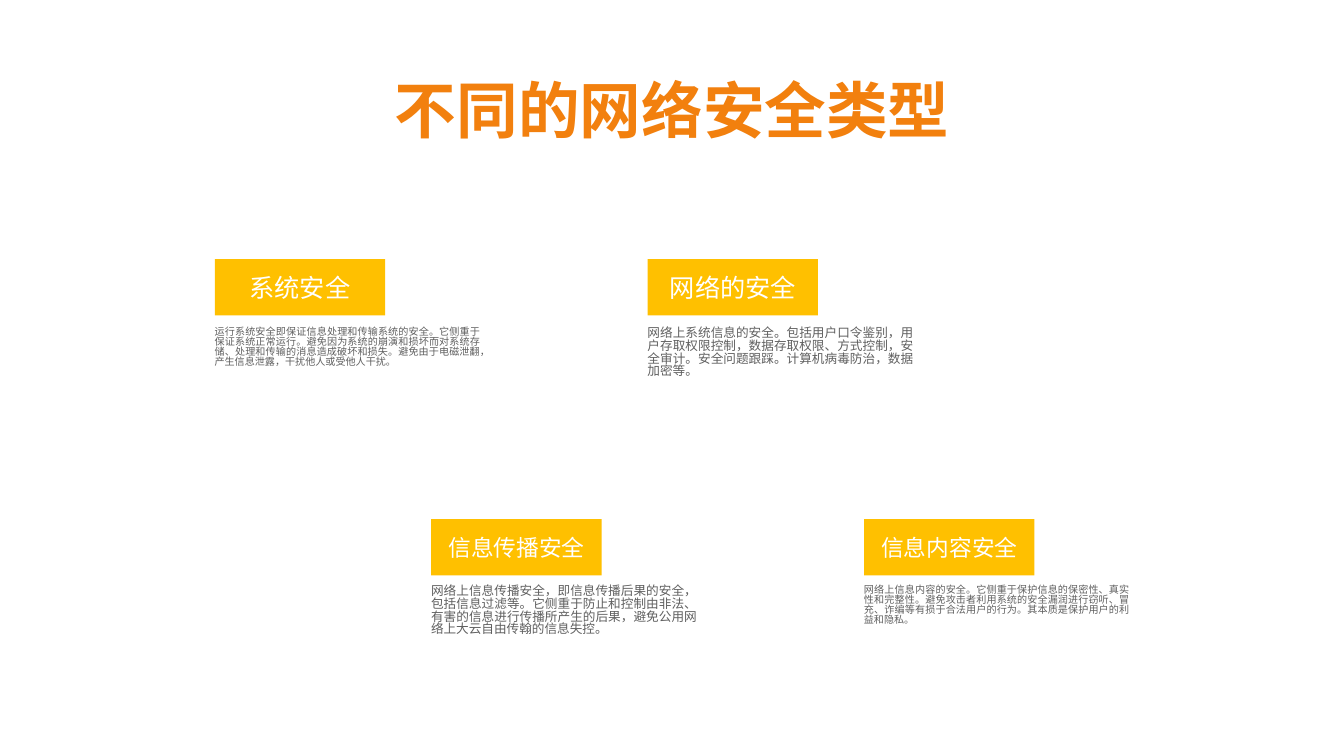
import pptx
import pptx.util
import pptx.dml.color
import pptx.enum.shapes
import pptx.enum.text

HEADING = "不同的网络安全类型"
TOPICS = [
    ("系统安全", 18, 7.2, 0.82,
     "运行系统安全即保证信息处理和传输系统的安全。它侧重于保证系统正常运行。避免因为系统的崩演和损坏而对系统存储、处理和传输的消息造成破坏和损失。避免由于电磁泄翻，产生信息泄露，干扰他人或受他人干扰。"),
    ("信息传播安全", 16.2, 9, 0.84,
     "网络上信息传播安全，即信息传播后果的安全，包括信息过滤等。它侧重于防止和控制由非法、有害的信息进行传播所产生的后果，避免公用网络上大云自由传翰的信息失控。"),
    ("网络的安全", 18, 9, 0.84,
     "网络上系统信息的安全。包括用户口令鉴别，用户存取权限控制，数据存取权限、方式控制，安全审计。安全问题跟踩。计算机病毒防治，数据加密等。"),
    ("信息内容安全", 16.2, 7.2, 0.82,
     "网络上信息内容的安全。它侧重于保护信息的保密性、真实性和完整性。避免攻击者利用系统的安全漏润进行窃听、冒充、诈编等有损于合法用户的行为。其本质是保护用户的利益和隐私。"),
]
COLORS = {"heading": "F2800E", "label": "FFC000", "label_text": "FFFFFF", "detail": "5F5F5F"}
FIRST_LEFT, LAST_LEFT = 2.13, 8.57
ROWS = [(2.57, 3.2), (5.15, 5.76)]
LABEL_SIZE = (1.69, 0.56)
DETAIL_SIZE = (2.83, 0.72)
DETAIL_OUTDENT = 0.1

ALIGN = pptx.enum.text.PP_ALIGN
ANCHOR = pptx.enum.text.MSO_ANCHOR


def rgb(name):
    return pptx.dml.color.RGBColor.from_string(COLORS[name])


def inches(*lengths):
    return [pptx.util.Inches(length) for length in lengths]


def write(holder, words, size, color, align, anchor, spacing=1.0, bold=False):
    frame = holder.text_frame
    frame.word_wrap = True
    frame.vertical_anchor = anchor
    paragraph = frame.paragraphs[0]
    paragraph.alignment = align
    paragraph.line_spacing = spacing
    run = paragraph.add_run()
    run.text = words
    run.font.name = "Arial"
    run.font.size = pptx.util.Pt(size)
    run.font.bold = bold
    run.font.color.rgb = rgb(color)


deck = pptx.Presentation()
deck.slide_width, deck.slide_height = inches(13.33, 7.5)
slide = deck.slides.add_slide(deck.slide_layouts[6])

heading = slide.shapes.add_textbox(*inches(0.92, 0.4, 11.5, 1.45))
write(heading, HEADING, 44, "heading", ALIGN.CENTER, ANCHOR.MIDDLE, 0.9, True)

step = (LAST_LEFT - FIRST_LEFT) / (len(TOPICS) - 1)
for column, (name, name_size, detail_size, spacing, explanation) in enumerate(TOPICS):
    left = FIRST_LEFT + column * step
    label_top, detail_top = ROWS[column % 2]
    label = slide.shapes.add_shape(
        pptx.enum.shapes.MSO_SHAPE.RECTANGLE, *inches(left, label_top, *LABEL_SIZE))
    label.shadow.inherit = False
    label.fill.solid()
    label.fill.fore_color.rgb = rgb("label")
    label.line.fill.background()
    write(label, name, name_size, "label_text", ALIGN.CENTER, ANCHOR.MIDDLE)

    detail = slide.shapes.add_textbox(*inches(left - DETAIL_OUTDENT, detail_top, *DETAIL_SIZE))
    write(detail, explanation, detail_size, "detail", ALIGN.JUSTIFY, ANCHOR.TOP, spacing)

deck.save("out.pptx")
